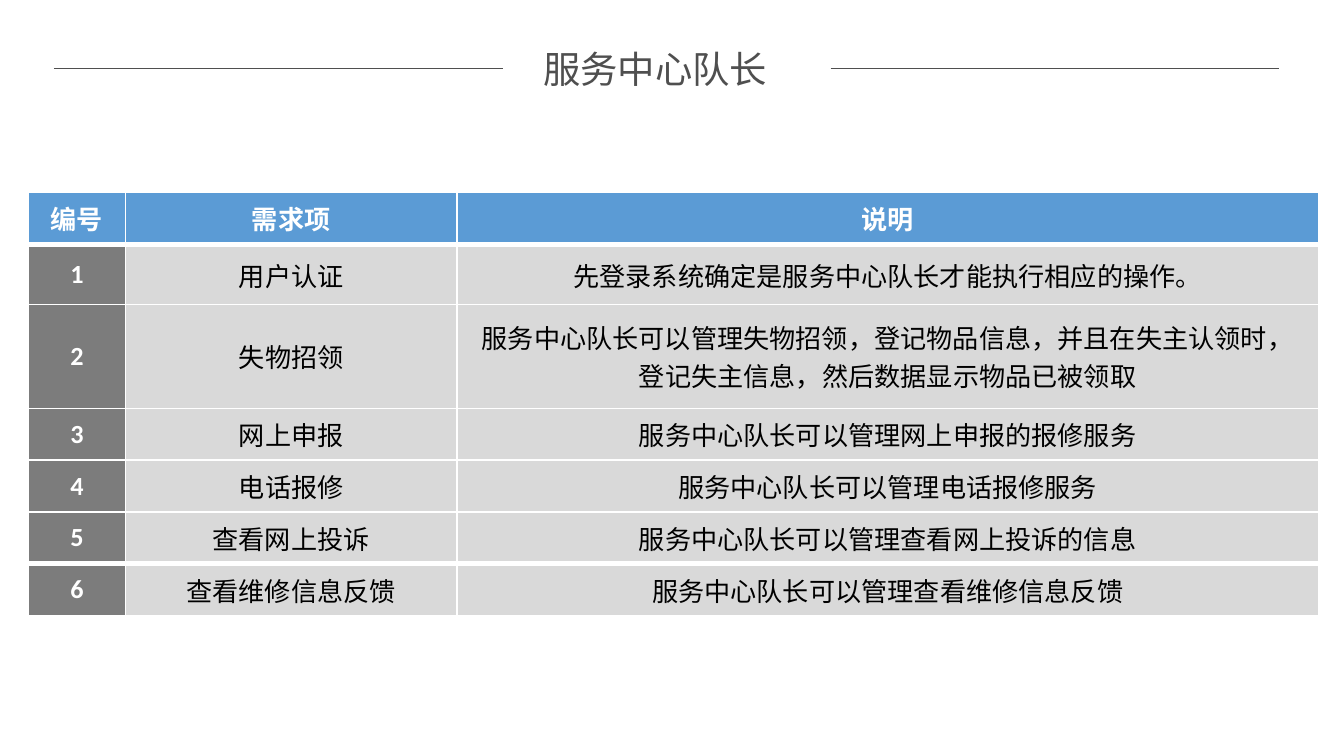
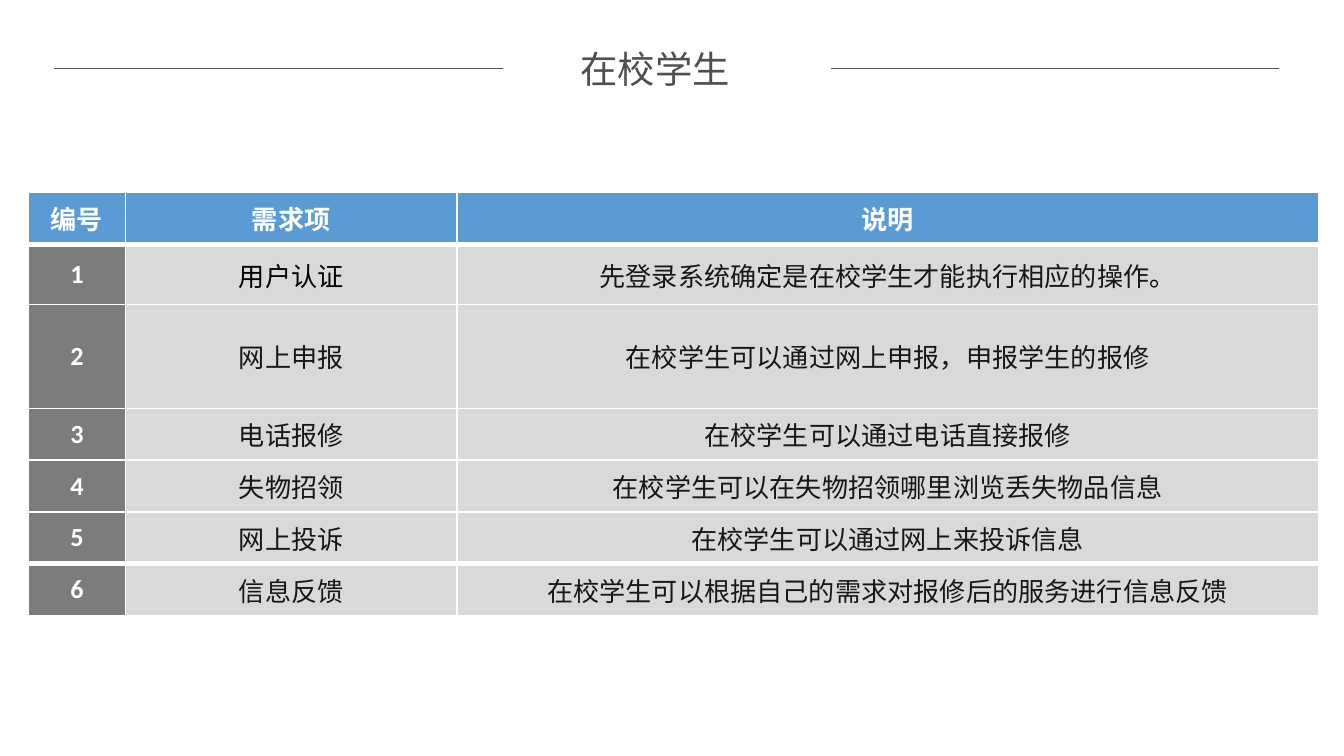
from collections import namedtuple

from lxml.etree import SubElement
from pptx import Presentation
from pptx.dml.color import RGBColor
from pptx.enum.shapes import MSO_CONNECTOR as Connector
from pptx.enum.text import MSO_ANCHOR as Anchor, MSO_AUTO_SIZE as AutoSize, PP_ALIGN as Align
from pptx.oxml import parse_xml
from pptx.oxml.ns import nsdecls, qn
from pptx.util import Cm, Pt

COLOURS = {
    "title": "4F4F4F",
    "header": "5B9BD5",
    "number": "7C7C7C",
    "body": "D9D9D9",
    "white": "FFFFFF",
    "black": "000000",
    "ink": "181717",
}
EAST_ASIAN_FONT = "Noto Sans CJK SC"

Box = namedtuple("Box", "left top width height")
CellStyle = namedtuple("CellStyle", "font colour bold margin")

TITLE_BAND = Box(1.02, 0.74, 23.16, 1.12)
RULE_WIDTH = 8.48
TITLE_LEFT, TITLE_WIDTH = 8.48, 5.77
TABLE_BOX = Box(0.54, 3.64, 24.38, 8.0)
COLUMN_WIDTHS = (1.83, 6.27, 16.28)
ROW_HEIGHT = 0.98
TALL_ROWS = {1: 1.14, 2: 1.96}
THIN_EDGE, THICK_EDGE = 1, 3

HEADINGS = ("编号", "需求项", "说明")
LABEL = CellStyle("Calibri", "white", True, 0.28)
PLAIN = CellStyle("Calibri", "black", False, 0.28)
COMPACT = CellStyle("Arial", "ink", False, 0.18)

LEADER_ROWS = [
    ("用户认证", "先登录系统确定是服务中心队长才能执行相应的操作。"),
    ("失物招领", "服务中心队长可以管理失物招领，登记物品信息，并且在失主认领时，登记失主信息，然后数据显示物品已被领取"),
    ("网上申报", "服务中心队长可以管理网上申报的报修服务"),
    ("电话报修", "服务中心队长可以管理电话报修服务"),
    ("查看网上投诉", "服务中心队长可以管理查看网上投诉的信息"),
    ("查看维修信息反馈", "服务中心队长可以管理查看维修信息反馈"),
]
STUDENT_ROWS = [
    ("用户认证", [("先登录系统确定是在校学生才能执行相应的操作", "ink"), ("。", "black")]),
    ("网上申报", "在校学生可以通过网上申报，申报学生的报修"),
    ("电话报修", "在校学生可以通过电话直接报修"),
    ("失物招领", "在校学生可以在失物招领哪里浏览丢失物品信息"),
    ("网上投诉", "在校学生可以通过网上来投诉信息"),
    ("信息反馈", "在校学生可以根据自己的需求对报修后的服务进行信息反馈"),
]


def rgb(name):
    return RGBColor.from_string(COLOURS[name])


def add_run(paragraph, text, font, size, colour, bold=False):
    run = paragraph.add_run()
    run.text = text
    run.font.name = font
    run.font.size = Pt(size)
    run.font.bold = bold
    run.font.color.rgb = rgb(colour)
    SubElement(run.font._element, qn("a:ea")).set("typeface", EAST_ASIAN_FONT)


def add_rule(slide, left, y, width):
    rule = slide.shapes.add_connector(Connector.STRAIGHT, Cm(left), Cm(y), Cm(left + width), Cm(y))
    rule.line.color.rgb = rgb("title")
    rule.line.width = Pt(0.75)
    SubElement(rule._element.spPr, qn("a:effectLst"))


def add_title_band(slide, box, title):
    shape = slide.shapes.add_textbox(
        Cm(box.left + TITLE_LEFT), Cm(box.top), Cm(TITLE_WIDTH), Cm(box.height))
    frame = shape.text_frame
    frame.word_wrap = True
    frame.auto_size = AutoSize.SHAPE_TO_FIT_TEXT
    paragraph = frame.paragraphs[0]
    paragraph.alignment = Align.CENTER
    add_run(paragraph, title, EAST_ASIAN_FONT, 20, "title")
    for left in (box.left + box.width - RULE_WIDTH, box.left):
        add_rule(slide, left, box.top + box.height / 2, RULE_WIDTH)


def set_edges(cell, top, bottom):
    properties = cell._tc.get_or_add_tcPr()
    widths = {"lnL": THIN_EDGE, "lnR": THIN_EDGE, "lnT": top, "lnB": bottom}
    for position, (edge, width) in enumerate(widths.items()):
        properties.insert(position, parse_xml(
            f'<a:{edge} {nsdecls("a")} w="{Pt(width)}"><a:solidFill>'
            f'<a:srgbClr val="{COLOURS["white"]}"/></a:solidFill></a:{edge}>'))


def fill_cell(cell, content, style, fill):
    cell.fill.solid()
    cell.fill.fore_color.rgb = rgb(fill)
    cell.vertical_anchor = Anchor.MIDDLE
    cell.margin_left = cell.margin_right = Cm(style.margin)
    cell.margin_top = cell.margin_bottom = 0
    paragraph = cell.text_frame.paragraphs[0]
    paragraph.alignment = Align.CENTER
    runs = [(content, style.colour)] if isinstance(content, str) else content
    for text, colour in runs:
        add_run(paragraph, text, style.font, 14, colour, style.bold)


def add_requirement_table(slide, box, requirements, later_style):
    rows = [HEADINGS] + [(str(number), *row) for number, row in enumerate(requirements, 1)]
    frame = slide.shapes.add_table(
        len(rows), len(HEADINGS), Cm(box.left), Cm(box.top), Cm(box.width), Cm(box.height))
    table = frame.table
    table.horz_banding = False
    for column, width in zip(table.columns, COLUMN_WIDTHS):
        column.width = Cm(width)
    thick_boundaries = {1, len(rows) - 1}
    for row_index, row in enumerate(rows):
        table.rows[row_index].height = Cm(TALL_ROWS.get(row_index, ROW_HEIGHT))
        top, bottom = (THICK_EDGE if boundary in thick_boundaries else THIN_EDGE
                       for boundary in (row_index, row_index + 1))
        for column_index, content in enumerate(row):
            if row_index == 0:
                style, fill = LABEL, "header"
            elif column_index == 0:
                style, fill = LABEL, "number"
            else:
                style, fill = (PLAIN if row_index == 1 else later_style), "body"
            cell = table.cell(row_index, column_index)
            fill_cell(cell, content, style, fill)
            set_edges(cell, top, bottom)


def add_role_slide(presentation, title, requirements, later_style):
    slide = presentation.slides.add_slide(presentation.slide_layouts[6])
    add_title_band(slide, TITLE_BAND, title)
    add_requirement_table(slide, TABLE_BOX, requirements, later_style)


def main():
    presentation = Presentation()
    presentation.slide_width = Cm(25.4)
    presentation.slide_height = Cm(14.29)
    add_role_slide(presentation, "服务中心队长", LEADER_ROWS, PLAIN)
    add_role_slide(presentation, "在校学生", STUDENT_ROWS, COMPACT)
    presentation.save("out.pptx")


if __name__ == "__main__":
    main()
